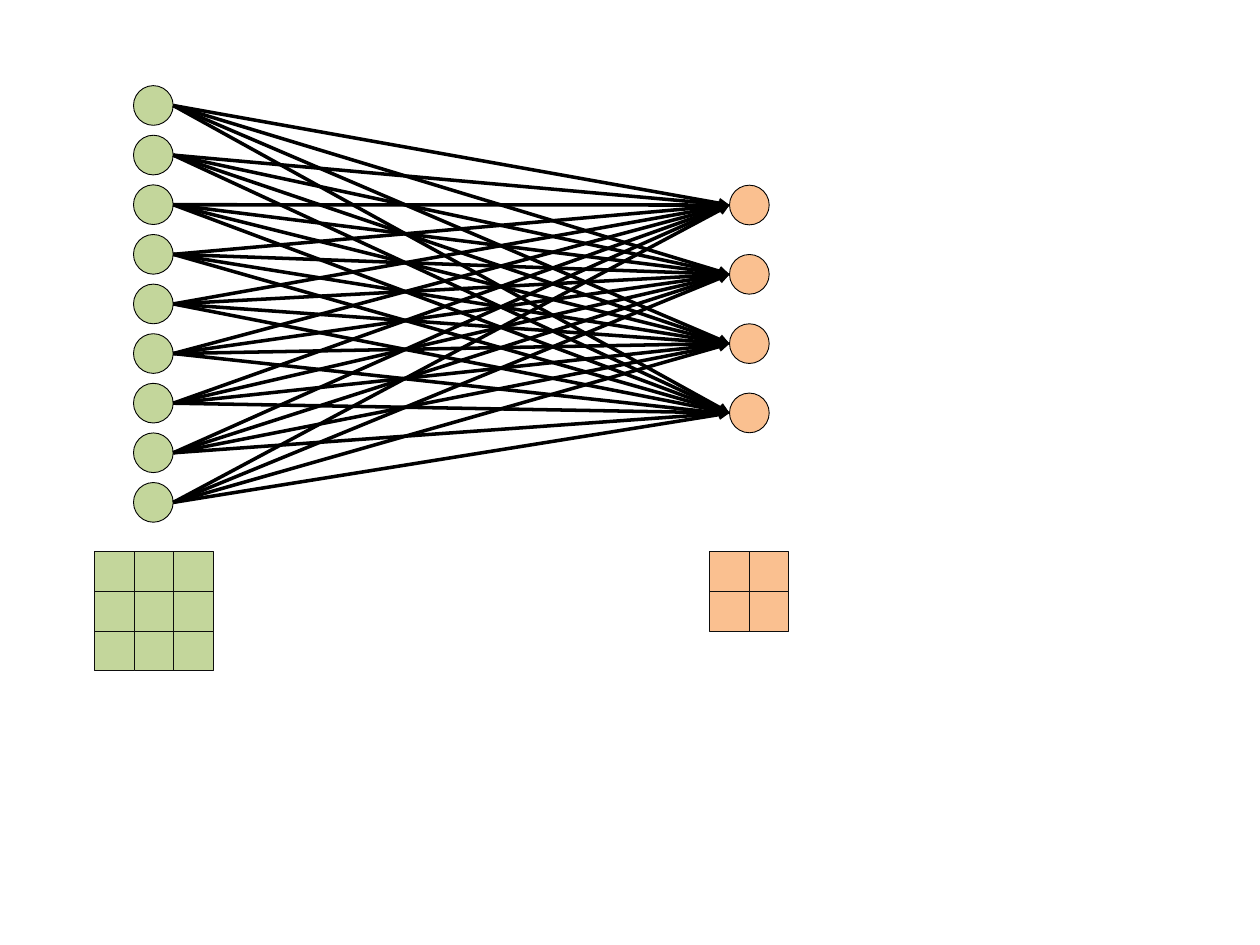
from lxml import etree
from pptx import Presentation
from pptx.dml.color import RGBColor
from pptx.enum.shapes import MSO_CONNECTOR, MSO_SHAPE
from pptx.oxml.ns import qn
from pptx.util import Inches, Pt

OVAL, RECT = MSO_SHAPE.OVAL, MSO_SHAPE.RECTANGLE
LINE = MSO_CONNECTOR.STRAIGHT

# Layers: node count, left and top of column, last top, grid left, grid side
INPUT = dict(count=9, left=1.06, top=0.68, last=3.83,
             grid=0.75, side=3, fill="C3D69B")
OUTPUT = dict(count=4, left=5.79, top=1.47, last=3.12,
              grid=5.63, side=2, fill="FAC090")
SIZE = 0.63 / 2
GRID_TOP = 4.38
BLACK, DARK = "000000", "0D0D0D"

# Links (input, output) that stop just short of their node
SHORT = {(2, 0), (5, 2), (5, 3)}
GAP = 0.08


def color(code):
    return RGBColor.from_string(code)


def add_cell(kind, x, y, fill, edge):
    cell = slide.shapes.add_shape(
        kind, Inches(x), Inches(y), Inches(SIZE), Inches(SIZE))
    cell.shadow.inherit = False
    cell.fill.solid()
    cell.fill.fore_color.rgb = color(fill)
    cell.line.color.rgb = color(edge)
    cell.line.width = Pt(0.5)


def add_arrow(x1, y1, x2, y2):
    link = slide.shapes.add_connector(
        LINE, Inches(x1), Inches(y1), Inches(x2), Inches(y2))
    link.line.color.rgb = color(BLACK)
    link.line.width = Pt(2)
    etree.SubElement(link.line._get_or_add_ln(), qn("a:tailEnd"),
                     type="triangle")
    etree.SubElement(link._element.spPr, qn("a:effectLst"))


def node_tops(layer):
    step = (layer["last"] - layer["top"]) / (layer["count"] - 1)
    return [layer["top"] + i * step for i in range(layer["count"])]


prs = Presentation()
prs.slide_width, prs.slide_height = Inches(10), Inches(7.5)
slide = prs.slides.add_slide(prs.slide_layouts[6])

# Nodes and the grid below each column
for layer in (INPUT, OUTPUT):
    for y in node_tops(layer):
        add_cell(OVAL, layer["left"], y, layer["fill"], BLACK)
    for row in range(layer["side"]):
        for col in range(layer["side"]):
            add_cell(RECT, layer["grid"] + col * SIZE,
                     GRID_TOP + row * SIZE, layer["fill"], DARK)

# Every input feeds every output
for i, start in enumerate(node_tops(INPUT)):
    for j, end in enumerate(node_tops(OUTPUT)):
        gap = GAP if (i, j) in SHORT else 0
        add_arrow(INPUT["left"] + SIZE, start + SIZE / 2,
                  OUTPUT["left"] - gap, end + SIZE / 2)

prs.save("out.pptx")
